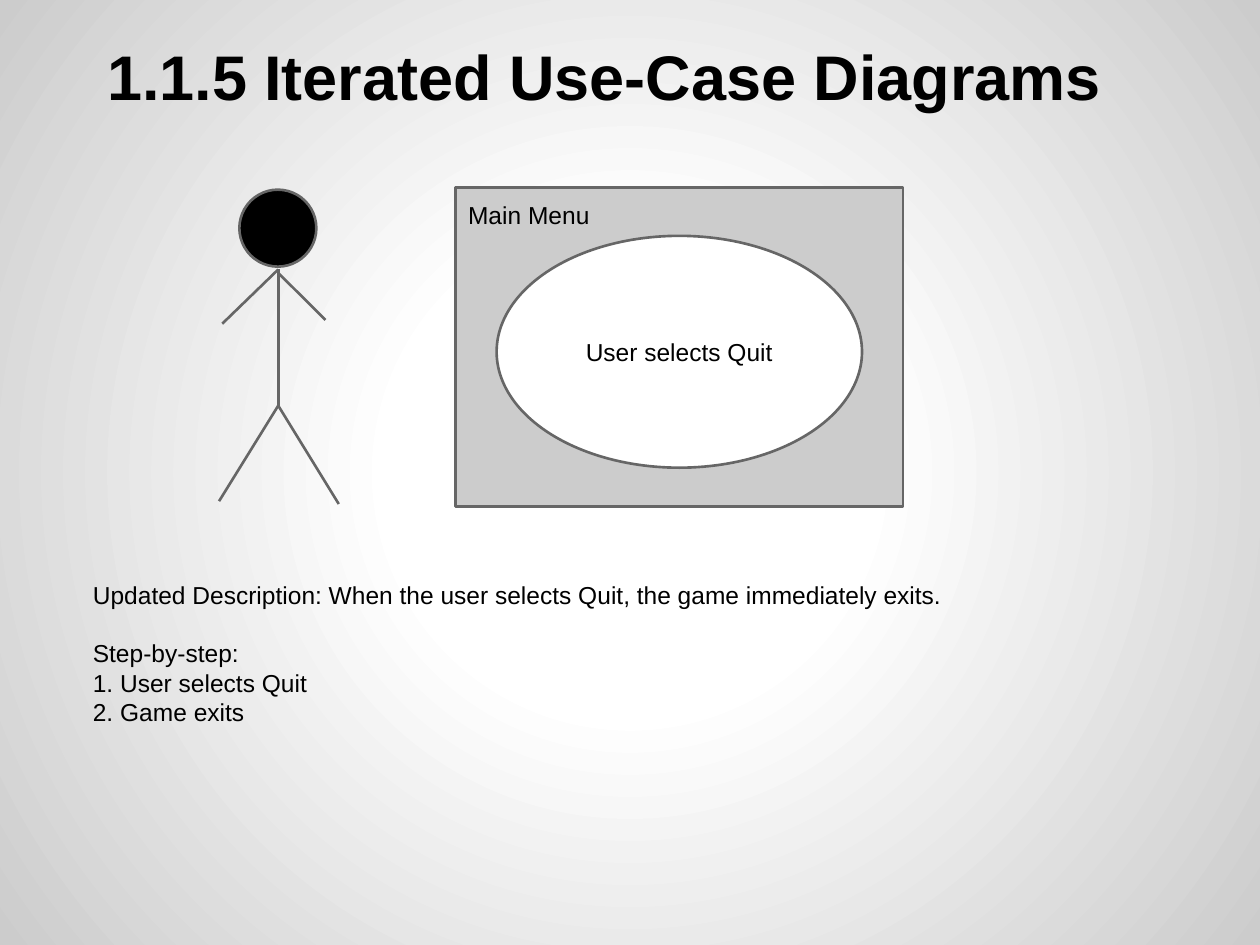
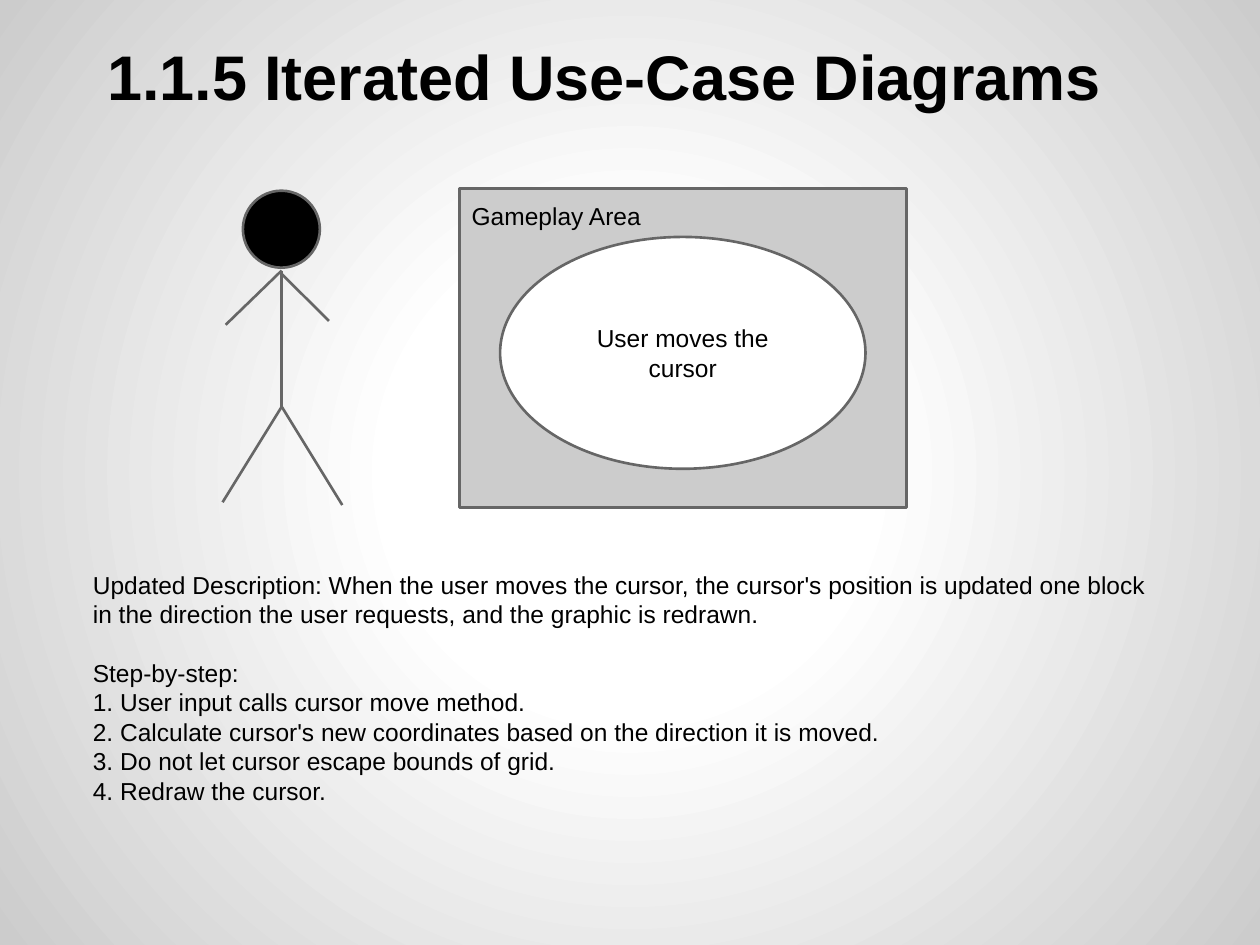
from lxml import etree
from pptx import Presentation
from pptx.dml.color import RGBColor
from pptx.enum import shapes, text
from pptx.oxml import parse_xml
from pptx.oxml.ns import nsdecls, qn
from pptx.util import Pt

TITLE = "1.1.5 Iterated Use-Case Diagrams"
USE_CASES = [
    {
        "area": "Main Menu",
        "action": "User selects Quit",
        "neck": (159, 154),
        "notes_top": 324,
        "notes_height": 176,
        "description": "Updated Description: When the user selects Quit, "
                       "the game immediately exits.",
        "steps": ["1. User selects Quit", "2. Game exits"],
    },
    {
        "area": "Gameplay Area",
        "action": "User moves the cursor",
        "neck": (161, 154.6),
        "notes_top": 318.3,
        "notes_height": 184,
        "description": "Updated Description: When the user moves the cursor, "
                       "the cursor's position is updated one block in the direction "
                       "the user requests, and the graphic is redrawn.",
        "steps": [
            "1. User input calls cursor move method.",
            "2. Calculate cursor's new coordinates based on the direction it is moved.",
            "3. Do not let cursor escape bounds of grid.",
            "4. Redraw the cursor.",
        ],
    },
]

BLACK = RGBColor(0x00, 0x00, 0x00)
WHITE = RGBColor(0xFF, 0xFF, 0xFF)
SILVER = RGBColor(0xCC, 0xCC, 0xCC)
GRAY = RGBColor(0x66, 0x66, 0x66)

LINE_WIDTH = 1.5
INSET = 7.2
BODY_FONT = {"name": "Arial", "size": Pt(14), "bold": False}
TITLE_FONT = {"name": "Arial", "size": Pt(36), "bold": True}
SECTION_GAP = 16.8

NECK, HIP = (0, 0), (0, 77.8)
LIMBS = [
    (NECK, HIP),
    ((-32, 31), NECK),
    ((27, 28.8), (0, 2)),
    ((-33.8, 132.4), HIP),
    ((34.6, 134), HIP),
]
HEAD = (-22.2, -45.6, 44, 44)
AREA = (101.4, -46.8, 255.6, 182.2)
ACTION = (124.8, -19.2, 208.8, 132.5)


def format_text(frame, lines, font, align, anchor, margins=None):
    settings = {
        "word_wrap": True,
        "auto_size": text.MSO_AUTO_SIZE.NONE,
        "vertical_anchor": anchor,
        **{f"margin_{side}": Pt(INSET) for side in ("left", "top", "right", "bottom")},
        **(margins or {}),
    }
    for name, value in settings.items():
        setattr(frame, name, value)
    frame.text = "\n".join(lines)
    for para in frame.paragraphs:
        para.alignment = align
        for span in para.runs:
            for name, value in font.items():
                setattr(span.font, name, value)
            span.font.color.rgb = BLACK


def add_outlined(parent, kind, place, neck, fill):
    left, top, width, height = place
    shape = parent.add_shape(kind, Pt(neck[0] + left), Pt(neck[1] + top),
                             Pt(width), Pt(height))
    shape.shadow.inherit = False
    shape.fill.solid()
    shape.fill.fore_color.rgb = fill
    shape.line.color.rgb = GRAY
    shape.line.width = Pt(LINE_WIDTH)
    return shape


def add_actor(page, neck):
    actor = page.shapes.add_group_shape().shapes
    for start, end in LIMBS:
        ends = [Pt(base + shift) for point in (start, end)
                for base, shift in zip(neck, point)]
        limb = actor.add_connector(shapes.MSO_CONNECTOR.STRAIGHT, *ends)
        limb.line.color.rgb = GRAY
        limb.line.width = Pt(LINE_WIDTH)
        etree.SubElement(limb._element.spPr, qn("a:effectLst"))
    add_outlined(actor, shapes.MSO_SHAPE.FLOWCHART_CONNECTOR, HEAD, neck, BLACK)


def add_title(page):
    title = page.shapes.title
    title.left, title.top, title.width, title.height = map(Pt, (36, 21.6, 648, 90))
    format_text(title.text_frame, [TITLE], TITLE_FONT, text.PP_ALIGN.LEFT,
                text.MSO_ANCHOR.TOP, {"margin_left": Pt(INSET + 18), "margin_top": 0})


def add_notes(page, case):
    box = page.shapes.add_textbox(Pt(46), Pt(case["notes_top"]), Pt(619.2),
                                  Pt(case["notes_height"]))
    lines = [case["description"], "Step-by-step:", *case["steps"]]
    format_text(box.text_frame, lines, BODY_FONT, text.PP_ALIGN.LEFT, text.MSO_ANCHOR.TOP)
    box.text_frame.paragraphs[1].space_before = Pt(SECTION_GAP)


def set_background(master):
    stops = "".join(
        f'<a:gs pos="{percent * 1000}"><a:srgbClr val="{color}"/></a:gs>'
        for percent, color in ((0, WHITE), (30, WHITE), (100, SILVER)))
    background = parse_xml(
        f'<p:bg {nsdecls("p", "a")}><p:bgPr><a:gradFill><a:gsLst>{stops}</a:gsLst>'
        '<a:path path="circle"><a:fillToRect l="50000" t="50000" r="50000" b="50000"/>'
        '</a:path></a:gradFill><a:effectLst/></p:bgPr></p:bg>')
    content = master._element.cSld
    for old in content.findall(qn("p:bg")):
        content.remove(old)
    content.insert(0, background)


def add_use_case(deck, case):
    page = deck.slides.add_slide(deck.slide_layouts[5])
    neck = case["neck"]
    add_title(page)
    add_actor(page, neck)
    area = add_outlined(page.shapes, shapes.MSO_SHAPE.RECTANGLE, AREA, neck, SILVER)
    format_text(area.text_frame, [case["area"]], BODY_FONT,
                text.PP_ALIGN.LEFT, text.MSO_ANCHOR.TOP)
    action = add_outlined(page.shapes, shapes.MSO_SHAPE.OVAL, ACTION, neck, WHITE)
    format_text(action.text_frame, [case["action"]], BODY_FONT,
                text.PP_ALIGN.CENTER, text.MSO_ANCHOR.MIDDLE)
    add_notes(page, case)


def main():
    deck = Presentation()
    deck.slide_width, deck.slide_height = Pt(720), Pt(540)
    set_background(deck.slide_master)
    for case in USE_CASES:
        add_use_case(deck, case)
    deck.save("out.pptx")


if __name__ == "__main__":
    main()
